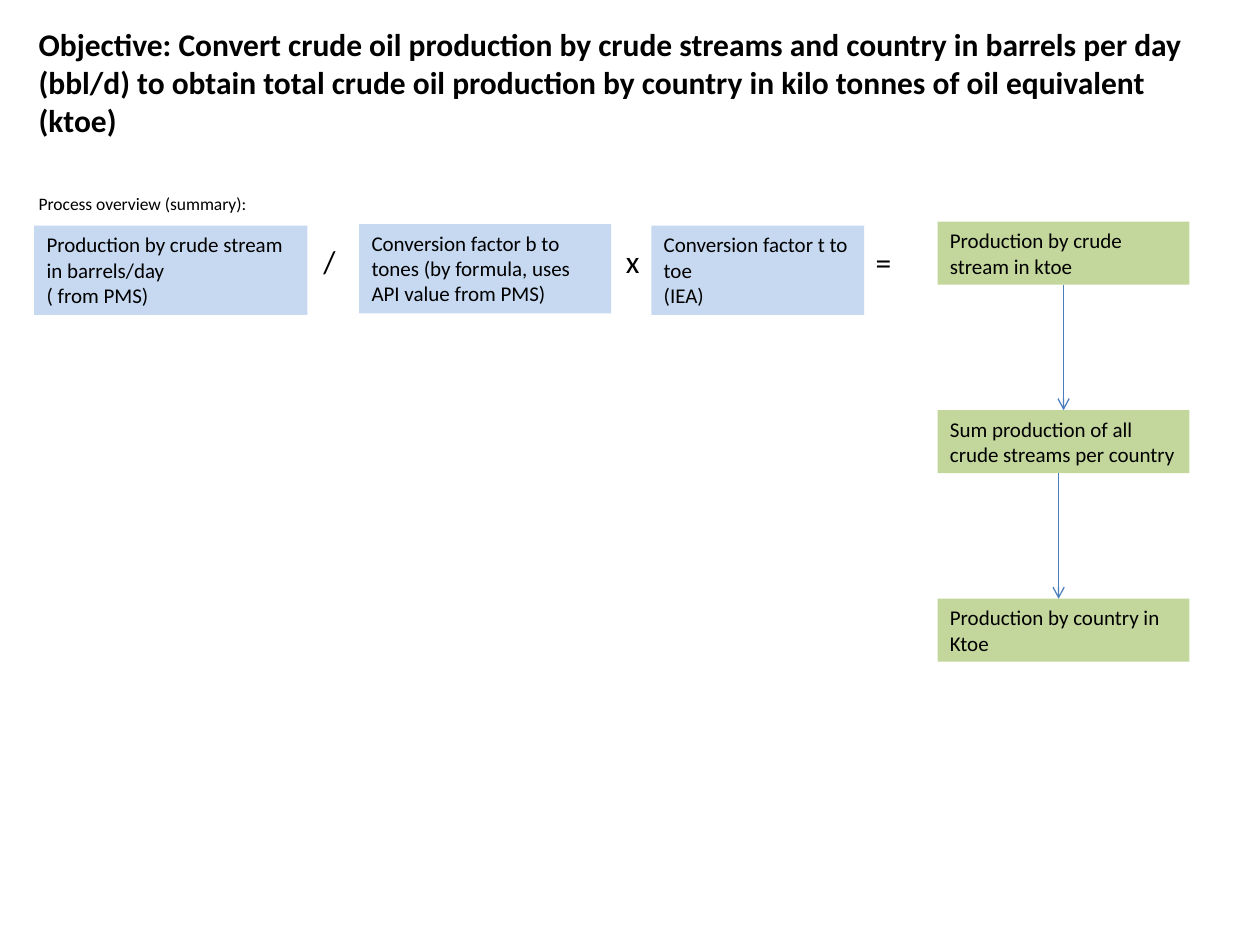
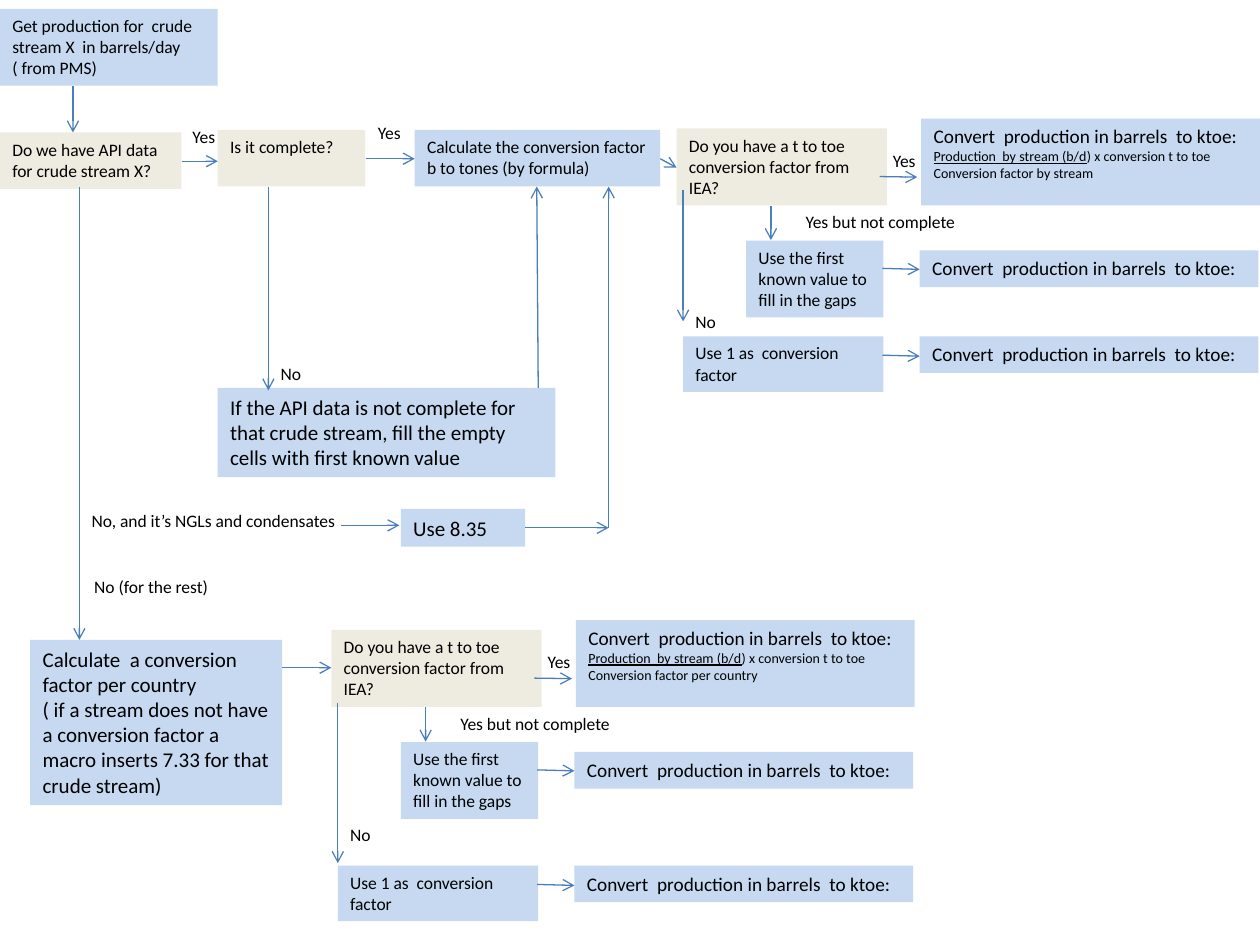
from dataclasses import dataclass

from pptx import Presentation
from pptx.dml.color import RGBColor
from pptx.enum.shapes import MSO_CONNECTOR as Connector, MSO_SHAPE as Shape
from pptx.enum.text import MSO_ANCHOR as Anchor, MSO_AUTO_SIZE as AutoSize, PP_ALIGN as Align
from pptx.oxml.ns import qn
from pptx.oxml.xmlchemy import OxmlElement
from pptx.slide import Slide
from pptx.util import Cm, Pt

COLORS = {
    "text": "000000",
    "step": "C6D9F1",
    "result": "C3D69B",
    "question": "EEECE1",
    "arrow": "4B7EBC",
}
FONT = "Calibri"
CONVERT = "Convert  production in barrels  to ktoe:"


@dataclass(frozen=True)
class Box:
    """A filled rectangle, in centimetres."""
    text: str
    left: float
    top: float
    width: float
    height: float
    fill: str = "step"
    size: float = 10


@dataclass(frozen=True)
class Label:
    """Free text, in centimetres."""
    text: str
    left: float
    top: float
    width: float
    height: float = 0.69
    size: float = 10
    bold: bool = False
    wrap: bool = False


@dataclass(frozen=True)
class Arrow:
    """A straight arrow from (x1, y1) to (x2, y2), in centimetres."""
    x1: float
    y1: float
    x2: float
    y2: float


@dataclass(frozen=True)
class ToeBranch:
    """The t to toe question with its three outcomes; drops count from top."""
    left: float
    top: float
    divisor: str
    no_start: float
    no_end: float
    no_label: float
    fallback: float


def color(name: str) -> RGBColor:
    return RGBColor.from_string(COLORS[name])


def write(paragraph, text: str, *, size: float, bold: bool = False,
          underline: bool = False) -> None:
    run = paragraph.add_run()
    run.text = text
    run.font.name = FONT
    run.font.size = Pt(size)
    run.font.bold = bold
    run.font.underline = underline
    run.font.color.rgb = color("text")


def fill_frame(frame, text: str, *, size: float, bold: bool = False,
               wrap: bool = True) -> None:
    """Write each line of the text as a paragraph."""
    frame.word_wrap = wrap
    frame.auto_size = AutoSize.SHAPE_TO_FIT_TEXT
    frame.vertical_anchor = Anchor.TOP
    for index, line in enumerate(text.split("\n")):
        paragraph = frame.add_paragraph() if index else frame.paragraphs[0]
        paragraph.alignment = Align.LEFT
        write(paragraph, line, size=size, bold=bold)


def draw_box(slide: Slide, box: Box):
    shape = slide.shapes.add_shape(Shape.RECTANGLE, Cm(box.left), Cm(box.top),
                                   Cm(box.width), Cm(box.height))
    shape.shadow.inherit = False
    shape.fill.solid()
    shape.fill.fore_color.rgb = color(box.fill)
    shape.line.fill.background()
    fill_frame(shape.text_frame, box.text, size=box.size)
    return shape


def draw_label(slide: Slide, label: Label) -> None:
    shape = slide.shapes.add_textbox(Cm(label.left), Cm(label.top),
                                     Cm(label.width), Cm(label.height))
    fill_frame(shape.text_frame, label.text, size=label.size,
               bold=label.bold, wrap=label.wrap)


def draw_arrow(slide: Slide, arrow: Arrow) -> None:
    connector = slide.shapes.add_connector(
        Connector.STRAIGHT, Cm(arrow.x1), Cm(arrow.y1), Cm(arrow.x2), Cm(arrow.y2))
    connector.line.color.rgb = color("arrow")
    connector.line.width = Pt(0.75)
    properties = connector._element.spPr
    head = OxmlElement("a:tailEnd")
    head.set("type", "arrow")
    properties.find(qn("a:ln")).append(head)
    properties.append(OxmlElement("a:effectLst"))


def draw_all(slide: Slide, boxes: list[Box], arrows: list[Arrow],
             labels: list[Label]) -> None:
    for box in boxes:
        draw_box(slide, box)
    for arrow in arrows:
        draw_arrow(slide, arrow)
    for label in labels:
        draw_label(slide, label)


def draw_formula(slide: Slide, left: float, top: float, divisor: str) -> None:
    """The conversion box: a heading and a fraction in small type."""
    shape = draw_box(slide, Box(CONVERT, left, top, 6.83, 1.75, size=11))
    numerator = shape.text_frame.add_paragraph()
    denominator = shape.text_frame.add_paragraph()
    numerator.alignment = denominator.alignment = Align.LEFT
    write(numerator, "Production  by stream (b/d", size=8, underline=True)
    write(numerator, ") x conversion t to toe", size=8)
    write(denominator, divisor, size=8)


def draw_toe_branch(slide: Slide, branch: ToeBranch) -> None:
    x, y = branch.left, branch.top
    fallback = y + branch.fallback
    draw_formula(slide, x + 4.93, y - 0.2, branch.divisor)
    boxes = [
        Box("Do you have a t to toe conversion factor from IEA?",
            x, y, 4.24, 1.55, "question"),
        Box("Use the first known value to fill in the gaps",
            x + 1.4, y + 2.26, 2.77, 1.55),
        Box(CONVERT, x + 4.9, y + 2.46, 6.83, 0.74, size=11),
        Box("Use 1 as  conversion factor", x + 0.13, fallback, 4.04, 1.12),
        Box(CONVERT, x + 4.9, fallback, 6.83, 0.74, size=11),
    ]
    arrows = [
        Arrow(x + 4.09, y + 0.97, x + 4.85, y + 0.98),
        Arrow(x + 1.9, y + 1.56, x + 1.9, y + 2.25),
        Arrow(x + 4.15, y + 2.82, x + 4.9, y + 2.84),
        Arrow(x + 0.13, y + branch.no_start, x + 0.13, y + branch.no_end),
        Arrow(x + 4.15, fallback + 0.38, x + 4.9, fallback + 0.4),
    ]
    labels = [
        Label("Yes", x + 4.11, y + 0.3, 0.99),
        Label("Yes but not complete", x + 2.35, y + 1.54, 3.61),
        Label("No", x + 0.13, y + branch.no_label, 0.94),
    ]
    draw_all(slide, boxes, arrows, labels)


def build_overview(slide: Slide) -> None:
    boxes = [
        Box("Production by crude stream in barrels/day\n( from PMS)",
            0.69, 4.55, 5.51, 1.8, size=12),
        Box("Conversion factor b to tones (by formula, uses API value from PMS)",
            7.24, 4.52, 5.08, 1.8, size=12),
        Box("Conversion factor t to toe\n(IEA)", 13.13, 4.55, 4.29, 1.8, size=12),
    ]
    # Results run down the right side at equal steps
    results = ["Production by crude stream in ktoe",
               "Sum production of all crude streams per country",
               "Production by country in Ktoe"]
    top, step, height = 4.47, 3.8, 1.27
    boxes += [Box(text, 18.9, top + step * row, 5.08, height, "result", 12)
              for row, text in enumerate(results)]
    arrows = [Arrow(x, top + step * row + height, x, top + step * (row + 1))
              for row, x in enumerate([21.44, 21.34])]
    labels = [
        Label("Objective: Convert crude oil production by crude streams and country "
              "in barrels per day\n(bbl/d) to obtain total crude oil production by "
              "country in kilo tonnes of oil equivalent (ktoe)",
              0.53, 0.38, 24.28, 2.57, size=18, bold=True, wrap=True),
        Label("Process overview (summary):", 0.53, 3.76, 4.75),
        Label("/", 6.27, 4.75, 0.76, 1.02, size=18),
        Label("x", 12.37, 4.75, 0.79, 1.02, size=18),
        Label("=", 17.4, 4.78, 0.84, 1.02, size=18),
    ]
    draw_all(slide, boxes, arrows, labels)


def build_flowchart(slide: Slide) -> None:
    boxes = [
        Box("Get production for  crude stream X  in barrels/day\n( from PMS)",
            0, 0.18, 4.39, 1.55),
        Box("Do we have API data for crude stream X?", 0, 2.67, 3.66, 1.14, "question"),
        Box("Is it complete?", 4.39, 2.62, 2.97, 1.14, "question"),
        Box("Calculate the conversion factor b to tones (by formula)",
            8.36, 2.62, 4.95, 1.14),
        Box("If the API data is not complete for that crude stream, fill the "
            "empty cells with first known value", 4.39, 7.82, 6.81, 1.8, size=12),
        Box("Use 8.35", 8.08, 10.26, 2.51, 0.76, size=12),
        Box("Calculate  a conversion factor per country\n( if a stream does not have "
            "a conversion factor a macro inserts 7.33 for that crude stream)",
            0.61, 12.9, 5.08, 3.33, size=12),
    ]
    arrows = [
        # Top row
        Arrow(1.47, 1.73, 1.47, 2.67),
        Arrow(3.66, 3.25, 4.39, 3.25),
        Arrow(7.37, 3.2, 8.36, 3.2),
        Arrow(13.31, 3.2, 13.64, 3.38),
        # Incomplete data
        Arrow(5.41, 3.76, 5.41, 7.87),
        Arrow(10.85, 7.82, 10.82, 3.76),
        # No data
        Arrow(1.6, 3.76, 1.6, 12.9),
        Arrow(6.88, 10.59, 8.05, 10.59),
        Arrow(10.59, 10.64, 12.27, 10.64),
        Arrow(12.27, 10.64, 12.27, 3.76),
        Arrow(5.69, 13.46, 6.68, 13.46),
    ]
    labels = [
        Label("Yes", 3.63, 2.41, 0.99),
        Label("Yes", 7.37, 2.34, 0.99),
        Label("No", 5.41, 7.19, 0.94),
        Label("No, and it’s NGLs and condensates", 1.6, 10.16, 5.51),
        Label("No (for the rest)", 1.65, 11.48, 2.84),
    ]
    draw_all(slide, boxes, arrows, labels)
    # The same question is asked per stream and per country
    draw_toe_branch(slide, ToeBranch(13.64, 2.59, "Conversion factor by stream",
                                     1.24, 3.89, 3.56, 4.19))
    draw_toe_branch(slide, ToeBranch(6.68, 12.7, "Conversion factor per country",
                                     1.47, 4.7, 3.78, 4.75))


presentation = Presentation()
presentation.slide_width, presentation.slide_height = Cm(25.4), Cm(19.05)
blank = presentation.slide_layouts[6]
for build in (build_overview, build_flowchart):
    build(presentation.slides.add_slide(blank))
presentation.save("out.pptx")
